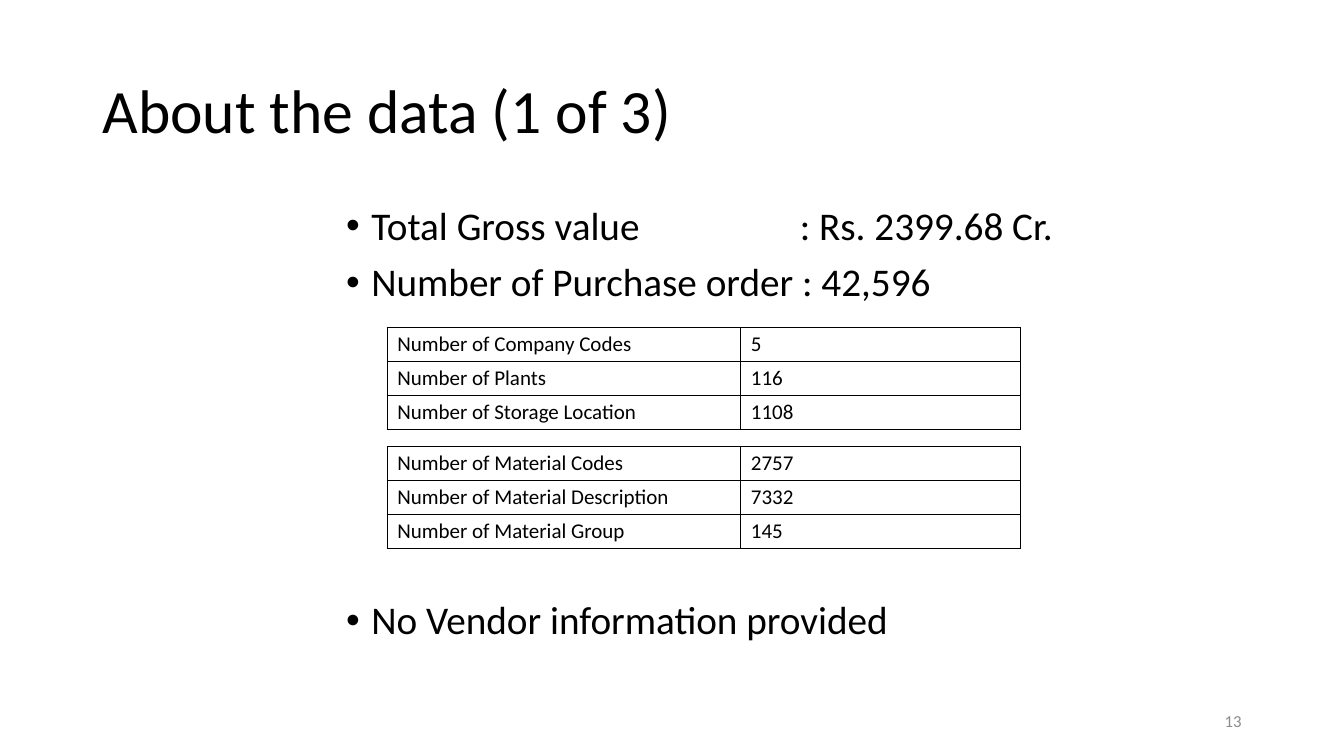
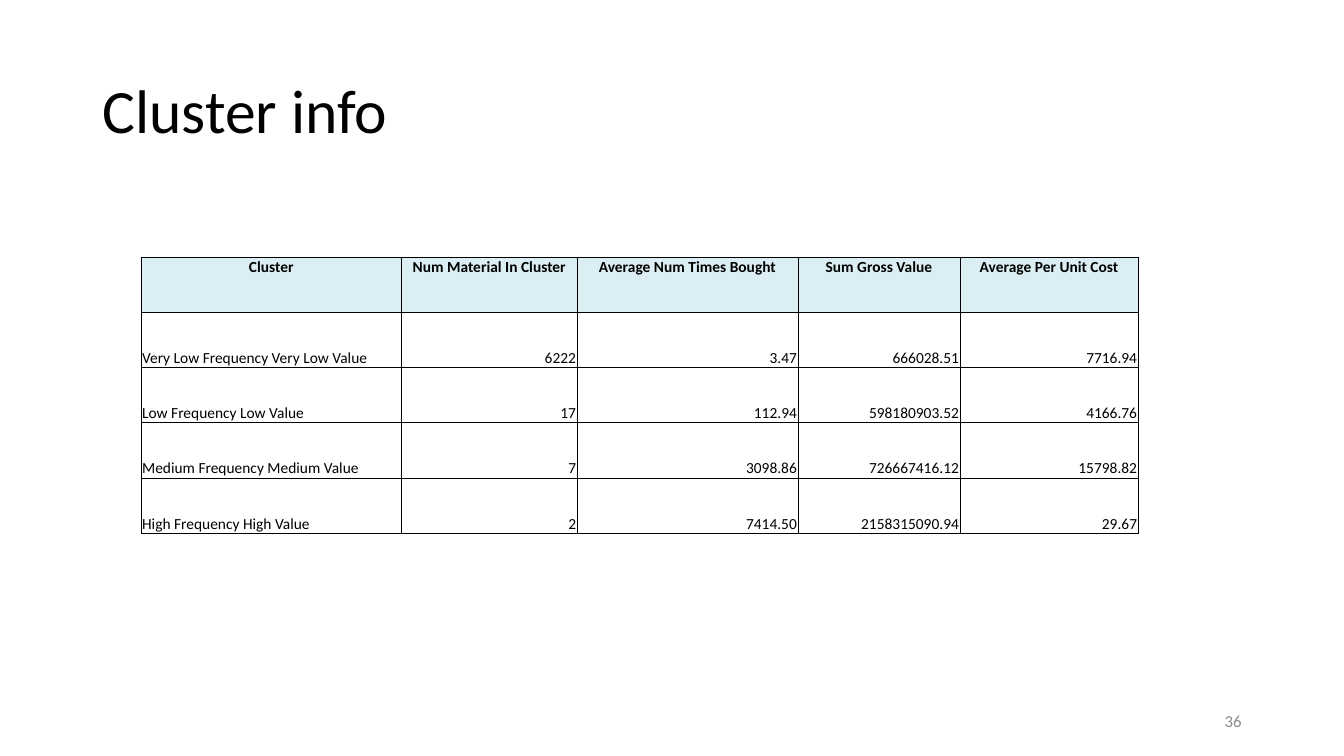
from dataclasses import dataclass
from typing import NamedTuple

from lxml.etree import SubElement
from pptx import Presentation
from pptx.dml.color import RGBColor
from pptx.enum.text import MSO_ANCHOR, MSO_AUTO_SIZE, PP_ALIGN
from pptx.oxml.ns import qn
from pptx.util import Inches, Pt


@dataclass(frozen=True)
class Theme:
    font: str = "Calibri"
    ink: str = "000000"
    muted: str = "8C8C8C"
    header: str = "DAEEF3"
    title: int = 44
    body: int = 28
    facts: int = 15
    cluster: int = 11
    number: int = 12
    spacing: float = 0.9


class Box(NamedTuple):
    col: float
    row: float
    cols: float
    rows: float


class Bullet(NamedTuple):
    text: str
    before: int = 10


class TableStyle(NamedTuple):
    size: int
    border: float
    insets: tuple[float, float, float, float]
    header: bool = False


class Table(NamedTuple):
    col: float
    row: float
    widths: tuple[float, ...]
    height: float
    style: TableStyle
    rows: tuple[tuple[str, ...], ...]


THEME = Theme()
W, H = Inches(13.33), Inches(7.5)
GRID_COLS, GRID_ROWS = 16, 9
TITLE = Box(1.1, 0.48, 13.8, 1.74)
BODY = Box(4, 2.4, 10.91, 5.71)
NUMBER = Box(11.3, 8.34, 3.6, 0.48)
INDENT, TAB = Inches(0.25), Inches(4.5)

FACTS = TableStyle(THEME.facts, 1, (0.1, 0.04, 0.1, 0.04))
CLUSTERS = TableStyle(THEME.cluster, 0.5, (0.01, 0.01, 0.01, 0), True)
FACT_WIDTHS = (4.21, 3.33)

BULLETS = (
    Bullet("Total Gross value\t: Rs. 2399.68 Cr."),
    Bullet("Number of Purchase order : 42,596"),
    Bullet("No Vendor information provided", 211),
)
FACT_TABLES = (
    Table(4.61, 3.9, FACT_WIDTHS, 1.21, FACTS, (
        ("Number of Company Codes", "5"),
        ("Number of Plants", "116"),
        ("Number of Storage Location", "1108"),
    )),
    Table(4.61, 5.32, FACT_WIDTHS, 1.21, FACTS, (
        ("Number of Material Codes", "2757"),
        ("Number of Material Description", "7332"),
        ("Number of Material Group", "145"),
    )),
)
CLUSTER_TABLE = Table(1.68, 3.06, (3.1, 2.09, 2.63, 1.93, 2.12), 3.29, CLUSTERS, (
    ("Cluster", "Num Material In Cluster", "Average Num Times Bought",
     "Sum Gross Value", "Average Per Unit Cost"),
    ("Very Low Frequency Very Low Value", "6222", "3.47", "666028.51", "7716.94"),
    ("Low Frequency Low Value", "17", "112.94", "598180903.52", "4166.76"),
    ("Medium Frequency Medium Value", "7", "3098.86", "726667416.12", "15798.82"),
    ("High Frequency High Value", "2", "7414.50", "2158315090.94", "29.67"),
))


def x(cols: float) -> int:
    return round(W * cols / GRID_COLS)


def y(rows: float) -> int:
    return round(H * rows / GRID_ROWS)


def place(sp, box: Box) -> None:
    sp.left, sp.top = x(box.col), y(box.row)
    sp.width, sp.height = x(box.cols), y(box.rows)


def add_run(p, text: str, size: int, color: str = THEME.ink, bold: bool = False) -> None:
    r = p.add_run()
    r.text = text
    r.font.name, r.font.size, r.font.bold = THEME.font, Pt(size), bold
    r.font.color.rgb = RGBColor.from_string(color)


def set_bullet(p) -> None:
    pPr = p._p.get_or_add_pPr()
    pPr.set("marL", str(INDENT))
    pPr.set("indent", str(-INDENT))
    SubElement(pPr, qn("a:buFont"), typeface="Arial")
    SubElement(pPr, qn("a:buChar"), char="•")
    tabs = SubElement(pPr, qn("a:tabLst"))
    SubElement(tabs, qn("a:tab"), pos=str(TAB), algn="l")


def set_borders(cell, width: float) -> None:
    tcPr = cell._tc.get_or_add_tcPr()
    for i, side in enumerate(("a:lnL", "a:lnR", "a:lnT", "a:lnB")):
        ln = tcPr.makeelement(qn(side), {"w": str(Pt(width))})
        fill = SubElement(ln, qn("a:solidFill"))
        SubElement(fill, qn("a:srgbClr"), val=THEME.ink)
        tcPr.insert(i, ln)


def add_slide(prs, layout: int, title: str, number: str):
    s = prs.slides.add_slide(prs.slide_layouts[layout])
    place(s.shapes.title, TITLE)
    tf = s.shapes.title.text_frame
    tf.vertical_anchor = MSO_ANCHOR.MIDDLE
    tf.auto_size = MSO_AUTO_SIZE.NONE
    p = tf.paragraphs[0]
    p.alignment, p.line_spacing = PP_ALIGN.LEFT, THEME.spacing
    add_run(p, title, THEME.title)
    sp = s.shapes.add_textbox(0, 0, 0, 0)
    place(sp, NUMBER)
    tf = sp.text_frame
    tf.word_wrap, tf.vertical_anchor = True, MSO_ANCHOR.MIDDLE
    p = tf.paragraphs[0]
    p.alignment = PP_ALIGN.RIGHT
    add_run(p, number, THEME.number, THEME.muted)
    return s


def add_bullets(s, bullets: tuple[Bullet, ...]) -> None:
    sp = s.placeholders[1]
    place(sp, BODY)
    tf = sp.text_frame
    tf.auto_size = MSO_AUTO_SIZE.NONE
    for i, bullet in enumerate(bullets):
        p = tf.add_paragraph() if i else tf.paragraphs[0]
        p.line_spacing, p.space_before = THEME.spacing, Pt(bullet.before)
        set_bullet(p)
        add_run(p, bullet.text, THEME.body)


def fill_cell(cell, text: str, style: TableStyle, heading: bool, first: bool) -> None:
    (cell.margin_left, cell.margin_top,
     cell.margin_right, cell.margin_bottom) = map(Inches, style.insets)
    p = cell.text_frame.paragraphs[0]
    if heading:
        cell.fill.solid()
        cell.fill.fore_color.rgb = RGBColor.from_string(THEME.header)
        p.alignment = PP_ALIGN.CENTER
    else:
        cell.fill.background()
        if style.header:
            cell.vertical_anchor = MSO_ANCHOR.BOTTOM
            p.alignment = PP_ALIGN.LEFT if first else PP_ALIGN.RIGHT
    set_borders(cell, style.border)
    add_run(p, text, style.size, bold=heading)


def add_grid(s, table: Table) -> None:
    n = len(table.rows)
    tbl = s.shapes.add_table(n, len(table.widths), x(table.col), y(table.row),
                             x(sum(table.widths)), y(table.height)).table
    tbl.first_row, tbl.horz_banding = table.style.header, False
    for column, width in zip(tbl.columns, table.widths):
        column.width = x(width)
    for i, texts in enumerate(table.rows):
        tbl.rows[i].height = y(table.height / n)
        for j, text in enumerate(texts):
            fill_cell(tbl.cell(i, j), text, table.style,
                      table.style.header and i == 0, j == 0)


def main() -> None:
    prs = Presentation()
    prs.slide_width, prs.slide_height = W, H
    s = add_slide(prs, 1, "About the data (1 of 3)", "13")
    add_bullets(s, BULLETS)
    for table in FACT_TABLES:
        add_grid(s, table)
    s = add_slide(prs, 5, "Cluster info", "36")
    add_grid(s, CLUSTER_TABLE)
    prs.save("out.pptx")


if __name__ == "__main__":
    main()
